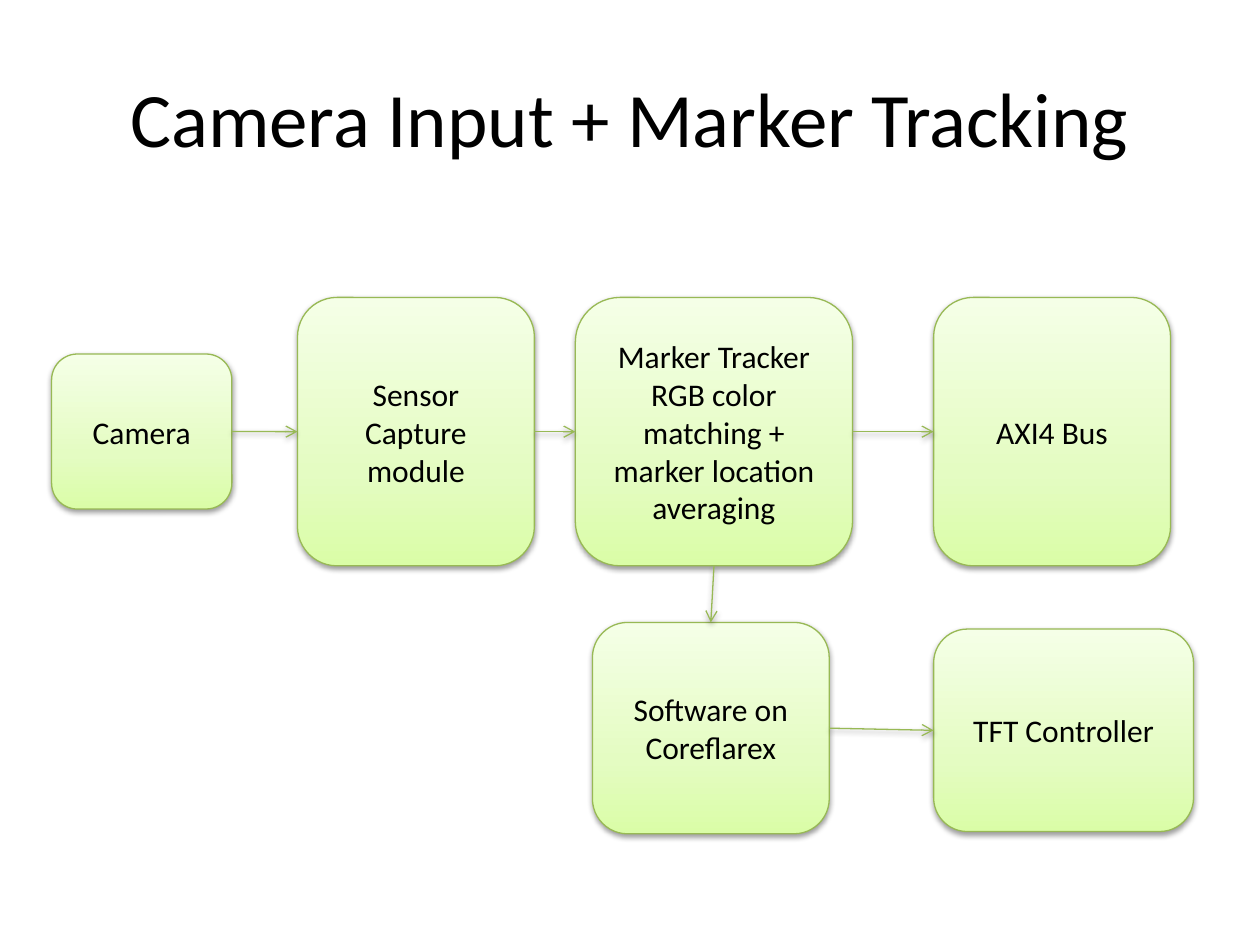
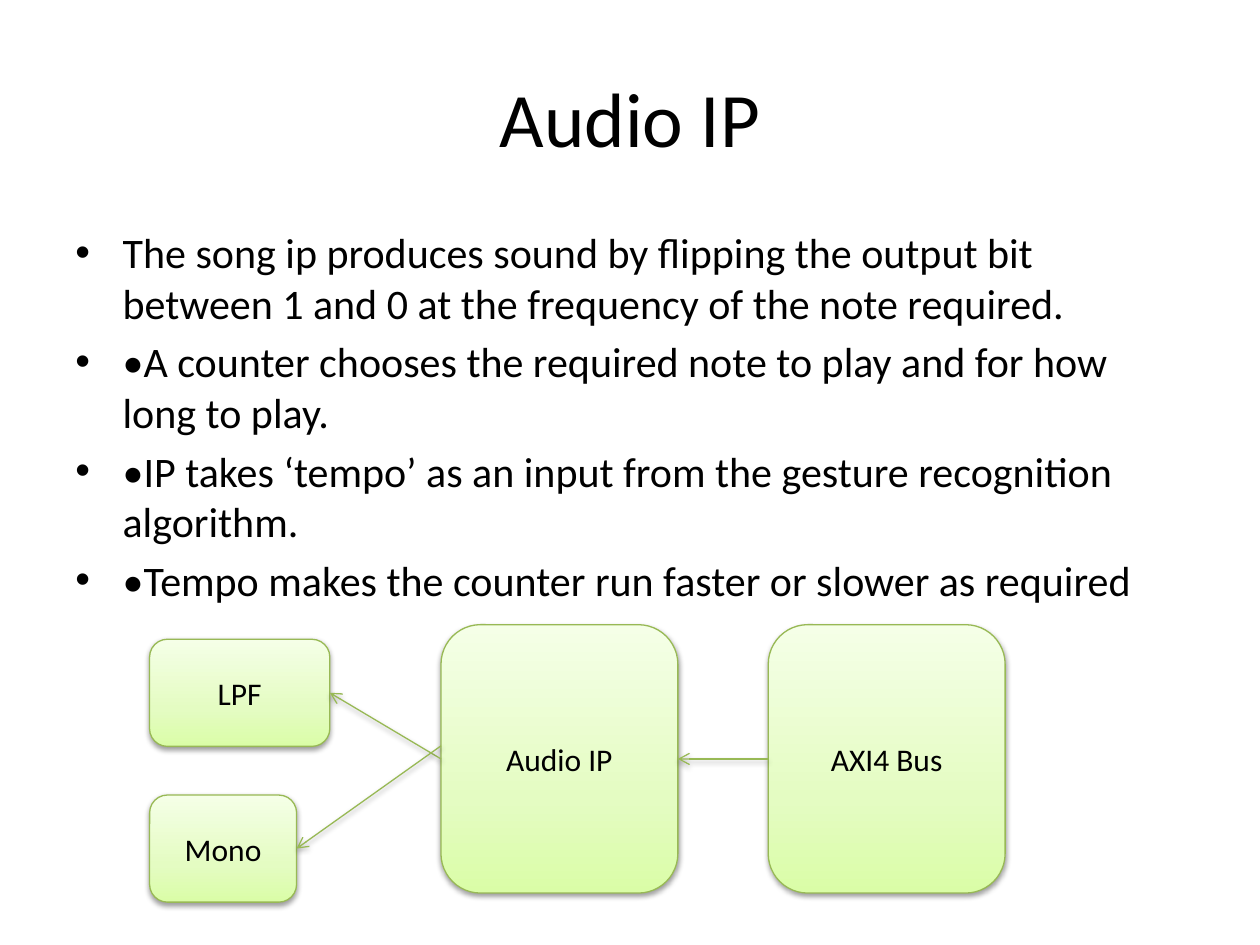
from copy import deepcopy
from dataclasses import dataclass

from lxml import etree
from pptx import Presentation
from pptx import util as u
from pptx.dml import color as dml
from pptx.enum import shapes, text
from pptx.oxml import ns

COLORS = {
    "text": "000000",
    "line": "98B955",
    "shadow": "000000",
    "bottom": "DAFDA7",
    "middle": "E4FCC2",
    "top": "F5FFE7",
}
GRADIENT = (("bottom", 0), ("middle", 0.35), ("top", 1))
FONT = "Calibri"
TITLE_SIZE, BODY_SIZE, BOX_SIZE = 44, 24, 18
LINE_WIDTH = 0.75
BULLET_INDENT = 27
TOP, LEFT, BOTTOM, RIGHT = range(4)
BLOCK_WIDTH, BLOCK_HEIGHT = 135.36, 153.36


@dataclass(frozen=True)
class Box:
    lines: tuple[str, ...]
    left: float
    top: float
    width: float = BLOCK_WIDTH
    height: float = BLOCK_HEIGHT


@dataclass(frozen=True)
class Arrow:
    start: str
    end: str
    start_side: int = RIGHT
    end_side: int = LEFT
    start_point: tuple[float, float] | None = None


@dataclass(frozen=True)
class Page:
    title: str
    boxes: dict[str, Box]
    arrows: tuple[Arrow, ...]
    bullets: tuple[str, ...] = ()


def rgb(name: str) -> dml.RGBColor:
    return dml.RGBColor.from_string(COLORS[name])


def add_child(parent, tag: str, **attributes: str):
    return etree.SubElement(parent, ns.qn(tag), attributes)


def write(paragraph, words: str, size: float) -> None:
    run = paragraph.add_run()
    run.text = words
    run.font.name = FONT
    run.font.size = u.Pt(size)
    run.font.color.rgb = rgb("text")


def fill_frame(frame, lines: tuple[str, ...], size: float, align, anchor) -> list:
    frame.word_wrap = True
    frame.vertical_anchor = anchor
    for index, line in enumerate(lines):
        paragraph = frame.add_paragraph() if index else frame.paragraphs[0]
        paragraph.alignment = align
        write(paragraph, line, size)
    return list(frame.paragraphs)


def add_shadow(properties) -> None:
    effects = properties.find(ns.qn("a:effectLst"))
    if effects is None:
        effects = add_child(properties, "a:effectLst")
    shadow = add_child(effects, "a:outerShdw", blurRad="40000", dist="20000",
                       dir="5400000", rotWithShape="0")
    shade = add_child(shadow, "a:srgbClr", val=COLORS["shadow"])
    add_child(shade, "a:alpha", val="38000")


def style_line(line) -> None:
    line.color.rgb = rgb("line")
    line.width = u.Pt(LINE_WIDTH)


def add_title(slide, title: str) -> None:
    shape = slide.shapes.add_textbox(u.Pt(36), u.Pt(21.6), u.Pt(648), u.Pt(90))
    fill_frame(shape.text_frame, (title,), TITLE_SIZE,
               text.PP_ALIGN.CENTER, text.MSO_ANCHOR.MIDDLE)


def add_bullets(slide, bullets: tuple[str, ...]) -> None:
    shape = slide.shapes.add_textbox(u.Pt(36), u.Pt(126), u.Pt(648), u.Pt(245.5))
    paragraphs = fill_frame(shape.text_frame, bullets, BODY_SIZE,
                            text.PP_ALIGN.LEFT, text.MSO_ANCHOR.TOP)
    for paragraph in paragraphs:
        paragraph.space_before = u.Pt(BODY_SIZE * 0.2)
        properties = paragraph._p.get_or_add_pPr()
        properties.set("marL", str(u.Pt(BULLET_INDENT)))
        properties.set("indent", str(-u.Pt(BULLET_INDENT)))
        add_child(properties, "a:buFont", typeface="Arial")
        add_child(properties, "a:buChar", char="•")


def add_box(slide, box: Box):
    shape = slide.shapes.add_shape(
        shapes.MSO_SHAPE.ROUNDED_RECTANGLE,
        u.Pt(box.left), u.Pt(box.top), u.Pt(box.width), u.Pt(box.height))
    properties = shape._element.spPr
    shape.fill.gradient()
    shape.fill.gradient_angle = 90
    stop_list = properties.find(".//" + ns.qn("a:gsLst"))
    stop_list.append(deepcopy(stop_list[0]))
    for stop, (name, position) in zip(shape.fill.gradient_stops, GRADIENT):
        stop.color.rgb = rgb(name)
        stop.position = position
    style_line(shape.line)
    shape.shadow.inherit = False
    add_shadow(properties)
    fill_frame(shape.text_frame, box.lines, BOX_SIZE,
               text.PP_ALIGN.CENTER, text.MSO_ANCHOR.MIDDLE)
    return shape


def add_arrow(slide, arrow: Arrow, blocks: dict) -> None:
    x, y = arrow.start_point or (0, 0)
    connector = slide.shapes.add_connector(
        shapes.MSO_CONNECTOR.STRAIGHT, u.Pt(x), u.Pt(y), u.Pt(x), u.Pt(y))
    if arrow.start_point is None:
        connector.begin_connect(blocks[arrow.start], arrow.start_side)
    connector.end_connect(blocks[arrow.end], arrow.end_side)
    style_line(connector.line)
    add_child(connector.line._get_or_add_ln(), "a:tailEnd", type="arrow")
    add_shadow(connector._element.spPr)


def add_page(presentation, page: Page) -> None:
    slide = presentation.slides.add_slide(presentation.slide_layouts[6])
    add_title(slide, page.title)
    if page.bullets:
        add_bullets(slide, page.bullets)
    blocks = {name: add_box(slide, box) for name, box in page.boxes.items()}
    for arrow in page.arrows:
        add_arrow(slide, arrow, blocks)


ROW_TOP, BUS_LEFT = 170, 533.5
AUDIO_LEFT, AUDIO_TOP, OUTPUT_LEFT = 252, 357, 85.5

PAGES = (
    Page(
        title="Camera Input + Marker Tracking",
        boxes={
            "capture": Box(("Sensor Capture module",), 170, ROW_TOP),
            "tracker": Box(("Marker Tracker",
                            "RGB color matching + marker location averaging"),
                           328.8, ROW_TOP, width=158.4),
            "bus": Box(("AXI4 Bus",), BUS_LEFT, ROW_TOP),
            "camera": Box(("Camera",), 29.5, 202.3, 103, 88.6),
            "controller": Box(("TFT Controller",), BUS_LEFT, 359.5, 148.5, 115.7),
            "software": Box(("Software on Coreflarex",), 338.5, 355.7, height=120.8),
        },
        arrows=(
            Arrow("tracker", "bus"),
            Arrow("capture", "tracker"),
            Arrow("camera", "capture"),
            Arrow("software", "controller"),
            Arrow("tracker", "software", BOTTOM, TOP),
        ),
    ),
    Page(
        title="Audio IP",
        bullets=(
            "The song ip produces sound by flipping the output bit between 1 and 0 "
            "at the frequency of the note required.",
            "•A counter chooses the required note to play and for how long to play.",
            "•IP takes ‘tempo’ as an input from the gesture recognition algorithm.",
            "•Tempo makes the counter run faster or slower as required",
        ),
        boxes={
            "audio": Box(("Audio IP",), AUDIO_LEFT, AUDIO_TOP),
            "bus": Box(("AXI4 Bus",), 439, AUDIO_TOP),
            "filter": Box(("LPF",), OUTPUT_LEFT, 365.3, 103, 61.2),
            "mono": Box(("Mono",), OUTPUT_LEFT, 454.3, 84, 61.2),
        },
        arrows=(
            Arrow("bus", "audio", LEFT, RIGHT),
            Arrow("audio", "filter", LEFT, RIGHT),
            Arrow("audio", "mono", LEFT, RIGHT, start_point=(AUDIO_LEFT, 426.2)),
        ),
    ),
)

presentation = Presentation()
presentation.slide_width = u.Pt(720)
presentation.slide_height = u.Pt(540)
for page in PAGES:
    add_page(presentation, page)
presentation.save("out.pptx")
